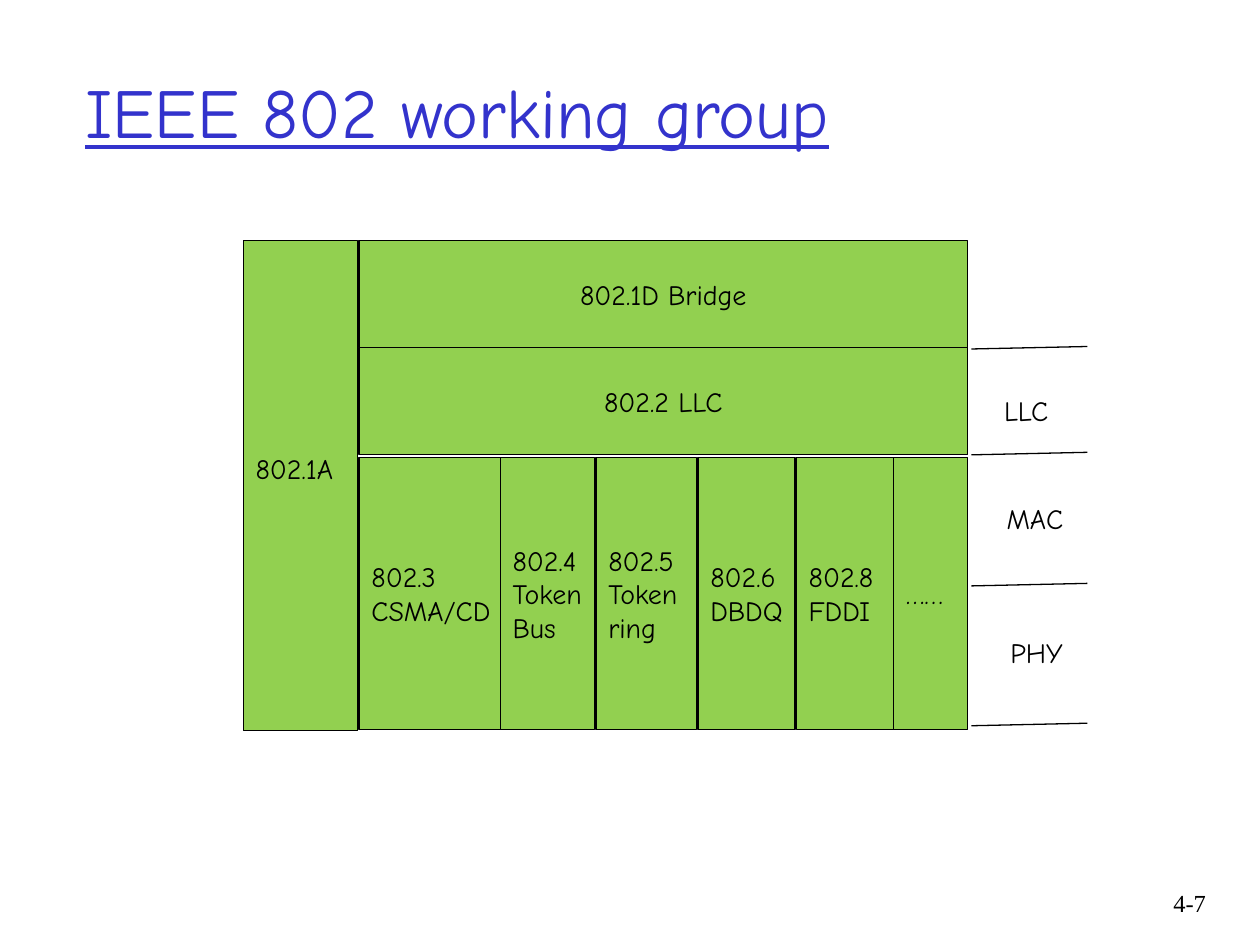
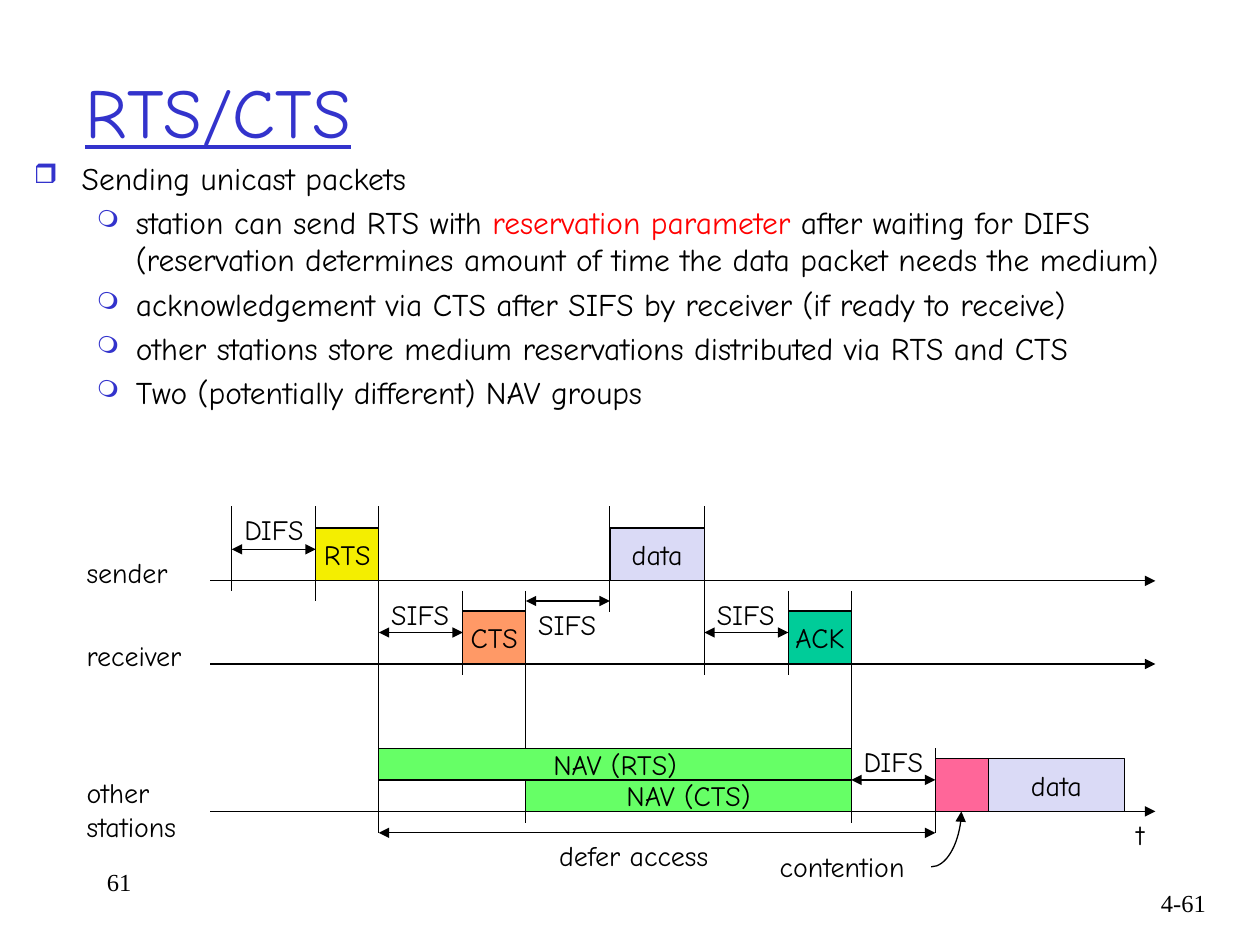
from dataclasses import dataclass
from itertools import accumulate

from lxml.etree import SubElement as Sub
from pptx import Presentation
from pptx.dml.color import RGBColor as Rgb
from pptx.enum.shapes import MSO_CONNECTOR as Conn, MSO_SHAPE as Kind
from pptx.enum.text import MSO_ANCHOR as Anchor, PP_ALIGN as Align
from pptx.oxml.ns import qn
from pptx.util import Inches, Pt


@dataclass(frozen=True)
class Theme:
    font: str = "Comic Neue"
    serif: str = "Times New Roman"
    head: int = 40
    body: int = 18
    label: int = 16
    foot: int = 14
    stroke: float = 0.75
    gap: float = 3.6
    blue: str = "3333CC"
    black: str = "000000"
    white: str = "FFFFFF"
    red: str = "FF0000"
    layer: str = "92D050"
    rts: str = "F4EE00"
    cts: str = "FF9966"
    ack: str = "00CC99"
    data: str = "DADAF6"
    nav: str = "66FF66"
    contend: str = "FF6699"


T = Theme()


def style(run, size, color=T.black, face=T.font):
    run.font.size = Pt(size)
    run.font.name = face
    run.font.color.rgb = Rgb.from_string(color)


def write(frame, text, size, color=T.black, face=T.font, align=Align.LEFT):
    frame.text = text
    for para in frame.paragraphs:
        para.alignment = align
        for run in para.runs:
            style(run, size, color, face)


def frame_at(slide, place, wrap=True):
    frame = slide.shapes.add_textbox(*map(Inches, place)).text_frame
    frame.word_wrap = wrap
    return frame


def title(slide, text):
    frame = frame_at(slide, (0.58, 0.25, 8.5, 1.25))
    frame.vertical_anchor = Anchor.MIDDLE
    write(frame, text, T.head, T.blue)
    frame.paragraphs[0].runs[0].font.underline = True


def number(slide, text, place=(8.93, 7, 0.74, 0.5), align=Align.RIGHT):
    write(frame_at(slide, place), text, T.foot, face=T.serif, align=align)


def label(slide, text, left, top, width=0.78, height=0.37):
    frame = frame_at(slide, (left, top, width, height), wrap=False)
    write(frame, text, T.label)


def box(slide, text, place, fill, align=Align.CENTER, edge=T.black):
    shape = slide.shapes.add_shape(Kind.RECTANGLE, *map(Inches, place))
    shape.shadow.inherit = False
    shape.fill.solid()
    shape.fill.fore_color.rgb = Rgb.from_string(fill)
    shape.line.color.rgb = Rgb.from_string(edge)
    shape.line.width = Pt(T.stroke)
    frame = shape.text_frame
    frame.word_wrap = False
    frame.vertical_anchor = Anchor.MIDDLE
    if text:
        write(frame, text, T.label, align=align)
    return shape


def line(slide, start, end, head=False, tail=False, kind=Conn.STRAIGHT):
    link = slide.shapes.add_connector(kind, *map(Inches, (*start, *end)))
    link.line.color.rgb = Rgb.from_string(T.black)
    link.line.width = Pt(T.stroke)
    props = link._element.spPr
    ln = props.find(qn("a:ln"))
    for tag, shown in (("a:headEnd", head), ("a:tailEnd", tail)):
        if shown:
            Sub(ln, qn(tag), type="triangle")
    Sub(props, qn("a:effectLst"))
    return link


def curve(slide, start, end):
    link = line(slide, start, end, tail=True, kind=Conn.CURVE)
    link._element.spPr.find(qn("a:prstGeom")).set("prst", "curvedConnector2")


def span(slide, left, right, y):
    line(slide, (left, y), (right, y), head=True, tail=True)


def bullet(para, mark, share, indent, hang):
    props = para._p.get_or_add_pPr()
    props.set("marL", str(Inches(indent)))
    props.set("indent", str(-Inches(hang)))
    Sub(Sub(props, qn("a:buClr")), qn("a:srgbClr"), val=T.blue)
    Sub(props, qn("a:buSzPct"), val=str(share * 1000))
    Sub(props, qn("a:buChar"), char=mark)


def points(slide, place, items):
    frame = frame_at(slide, place)
    for index, (level, parts) in enumerate(items):
        para = frame.add_paragraph() if index else frame.paragraphs[0]
        para.level = level
        if level:
            bullet(para, "❍", 75, 0.81, 0.31)
        else:
            bullet(para, "❒", 85, 0.38, 0.38)
        if index:
            para.space_before = Pt(T.gap)
        for text, color in parts:
            run = para.add_run()
            run.text = text
            style(run, T.body, color)


def group(slide):
    title(slide, "IEEE 802 working group")
    side = box(slide, "802.1A", (1.93, 1.91, 0.91, 3.89), T.layer, Align.LEFT)
    side.text_frame.margin_bottom = Inches(0.32)
    for row, text in enumerate(("802.1D Bridge", "802.2 LLC")):
        box(slide, text, (2.85, 1.91 + row * 0.85, 4.83, 0.85), T.layer)
    cols = (
        ("802.3\nCSMA/CD", 2.85, 1.13),
        ("802.4\nToken\nBus", 3.97, 0.75),
        ("802.5\nToken\nring", 4.73, 0.8),
        ("802.6\nDBDQ", 5.54, 0.77),
        ("802.8\nFDDI", 6.32, 0.77),
        ("……", 7.09, 0.59),
    )
    for text, left, width in cols:
        box(slide, text, (left, 3.63, width, 2.16), T.layer, Align.LEFT)
    for y in (2.77, 3.61, 4.65, 5.76):
        line(slide, (7.71, y), (8.63, y - 0.02))
    for text, left, top in (("LLC", 7.87, 3.07), ("MAC", 7.89, 3.93), ("PHY", 7.92, 4.99)):
        box(slide, text, (left, top, 0.71, 0.37), T.white, Align.LEFT, T.white)
    number(slide, "4-7")


def timing(slide):
    wait, pack, load = 2 / 3, 0.5, 0.75
    steps = (1.84, wait, pack, wait, pack, wait, load, wait, pack, wait)
    idle, rts, rtsend, cts, ctsend, data, dataend, ack, ackend, free = accumulate(steps)
    send, recv, other, tall = 4.61, 5.27, 6.44, 0.42

    for text, top in (("sender", 4.36), ("receiver", 5.02), ("other\nstations", 6.11)):
        label(slide, text, 0.59, top, 1.07)
    for text, left, top in (
        ("DIFS", idle, 4.02), ("SIFS", rtsend, 4.69), ("SIFS", ctsend, 4.77),
        ("SIFS", dataend, 4.69), ("DIFS", ackend, 5.86), ("t", 8.92, 6.44),
    ):
        label(slide, text, left, top)
    label(slide, "defer access", 4.34, 6.61, 1.56)
    label(slide, "contention", 6.09, 6.69, 1.3)

    for y in (send, recv, other):
        line(slide, (1.67, y), (9.17, y), tail=True)
    for x, top, low in (
        (idle, 4.02, 4.69), (rts, 4.02, 4.77), (rtsend, 4.02, 6.61),
        (cts, 4.69, 5.36), (ctsend, 4.69, 6.53), (data, 4.02, 4.86),
        (dataend, 4.02, 5.36), (ack, 4.69, 5.36), (ackend, 4.69, 6.53),
        (free, 5.94, 6.61),
    ):
        line(slide, (x, top), (x, low))
    for left, right, y in (
        (idle, rts, 4.36), (rtsend, cts, 5.02), (ctsend, data, 4.77),
        (dataend, ack, 5.02), (ackend, free, 6.19), (rtsend, free, 6.61),
    ):
        span(slide, left, right, y)

    for text, left, width, base, fill in (
        ("RTS", rts, pack, send, T.rts), ("data", data, load, send, T.data),
        ("CTS", cts, pack, recv, T.cts), ("ACK", ack, pack, recv, T.ack),
        ("", free, tall, other, T.contend),
        ("data", free + tall, 1.08, other, T.data),
    ):
        box(slide, text, (left, base - tall, width, tall), fill)
    for text, left, top in (("NAV (RTS)", rtsend, 5.94), ("NAV (CTS)", ctsend, 6.19)):
        box(slide, text, (left, top, ackend - left, 0.25), T.nav)
    curve(slide, (7.39, 6.88), (7.63, other))


def access(slide):
    title(slide, "RTS/CTS")
    points(slide, (0.17, 1.21, 9.5, 2.5), (
        (0, [("Sending unicast packets", T.black)]),
        (1, [
            ("station can send RTS with ", T.black),
            ("reservation parameter ", T.red),
            ("after waiting for DIFS (reservation determines amount of time "
             "the data packet needs the medium)", T.black),
        ]),
        (1, [("acknowledgement via CTS after SIFS by receiver "
              "(if ready to receive)", T.black)]),
        (1, [("other stations store medium reservations distributed "
              "via RTS and CTS", T.black)]),
        (1, [("Two (potentially different) NAV groups", T.black)]),
    ))
    timing(slide)
    number(slide, "61", (0.75, 6.83, 2.08, 0.5), Align.LEFT)
    number(slide, "4-61")


def main():
    deck = Presentation()
    deck.slide_width, deck.slide_height = Inches(10), Inches(7.5)
    for build in (group, access):
        build(deck.slides.add_slide(deck.slide_layouts[6]))
    deck.save("out.pptx")


if __name__ == "__main__":
    main()
